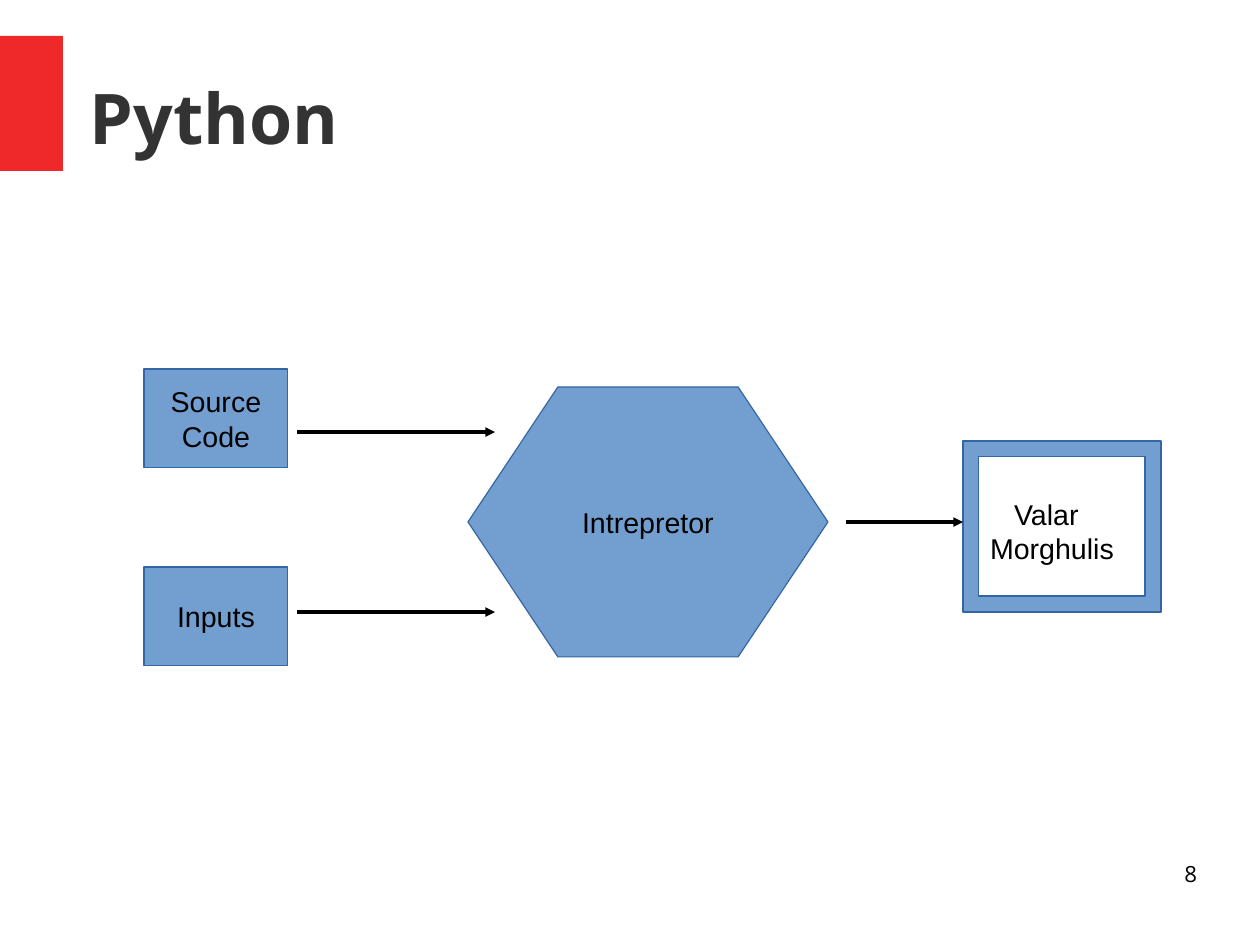
from lxml.etree import SubElement
from pptx import Presentation
from pptx.dml.color import RGBColor
from pptx.enum.shapes import MSO_CONNECTOR, MSO_SHAPE
from pptx.enum.text import MSO_ANCHOR, PP_ALIGN
from pptx.oxml.ns import qn
from pptx.util import Cm, Inches, Pt

CELL = Cm(0.2)
COLUMNS, ROWS = 140, 105
RED, BLUE, DARK_BLUE = "EF2929", "729FCF", "3465A4"
BLACK, CHARCOAL = "000000", "333333"


def cells(*counts):
    return [round(count * CELL) for count in counts]


def paint(color_format, color):
    color_format.rgb = RGBColor.from_string(color)


def write(shape, lines, size, font="Arial", color=BLACK, bold=False,
          align=PP_ALIGN.CENTER, anchor=MSO_ANCHOR.MIDDLE):
    frame = shape.text_frame
    frame.word_wrap = True
    frame.vertical_anchor = anchor
    for index, line in enumerate(lines):
        paragraph = frame.add_paragraph() if index else frame.paragraphs[0]
        paragraph.alignment = align
        run = paragraph.add_run()
        run.text = line
        run.font.name = font
        run.font.size = Pt(size)
        run.font.bold = bold
        paint(run.font.color, color)
    return frame


def add_label(slide, area, text, size, **style):
    frame = write(slide.shapes.add_textbox(*cells(*area)), [text], size,
                  font="Open Sans", **style)
    frame.margin_left = frame.margin_right = 0
    frame.margin_top = frame.margin_bottom = 0


def add_block(slide, kind, area, fill=BLUE, outline=DARK_BLUE, adjust=None):
    shape = slide.shapes.add_shape(kind, *cells(*area))
    shape.shadow.inherit = False
    shape.fill.solid()
    paint(shape.fill.fore_color, fill)
    if outline:
        paint(shape.line.color, outline)
        shape.line.width = Pt(0)
    else:
        shape.line.fill.background()
    if adjust:
        shape.adjustments[0] = adjust
    return shape


def add_arrow(slide, start, end, row):
    arrow = slide.shapes.add_connector(
        MSO_CONNECTOR.STRAIGHT, *cells(start, row, end, row))
    paint(arrow.line.color, BLACK)
    arrow.line.width = Pt(0)
    SubElement(arrow.line._get_or_add_ln(), qn("a:tailEnd"), type="triangle")
    SubElement(arrow._element.spPr, qn("a:effectLst"))


def add_output(slide, area, lines):
    output = add_block(slide, MSO_SHAPE.FRAME, area, adjust=0.093)
    frame = write(output, lines, 18, align=PP_ALIGN.LEFT, anchor=MSO_ANCHOR.TOP)
    frame.margin_top = Inches(0.35)
    first_line = frame.paragraphs[0]._p.get_or_add_pPr()
    first_line.set("marL", str(Inches(0.21)))
    first_line.set("indent", "0")


def main():
    presentation = Presentation()
    presentation.slide_width, presentation.slide_height = cells(COLUMNS, ROWS)
    slide = presentation.slides.add_slide(presentation.slide_layouts[6])

    add_block(slide, MSO_SHAPE.RECTANGLE, (0, 4, 7, 15), RED, None)
    add_label(slide, (10, 4.2, 123, 17.5), "Python", 44, color=CHARCOAL,
              bold=True, align=PP_ALIGN.LEFT)

    for row, lines in ((41, ["Source", "Code"]), (63, ["Inputs"])):
        write(add_block(slide, MSO_SHAPE.RECTANGLE, (16, row, 16, 11)), lines, 18)
    interpreter = add_block(slide, MSO_SHAPE.HEXAGON, (52, 43, 40, 30),
                            adjust=0.333)
    write(interpreter, ["Intrepretor"], 18)
    add_output(slide, (107, 49, 22, 19), ["Valar", "Morghulis"])
    for start, end, row in ((33, 55, 48), (33, 55, 68), (94, 107, 58)):
        add_arrow(slide, start, end, row)

    add_label(slide, (100.4, 95.6, 32.6, 7.2), "8", 14,
              align=PP_ALIGN.RIGHT, anchor=MSO_ANCHOR.TOP)
    presentation.save("out.pptx")


main()
